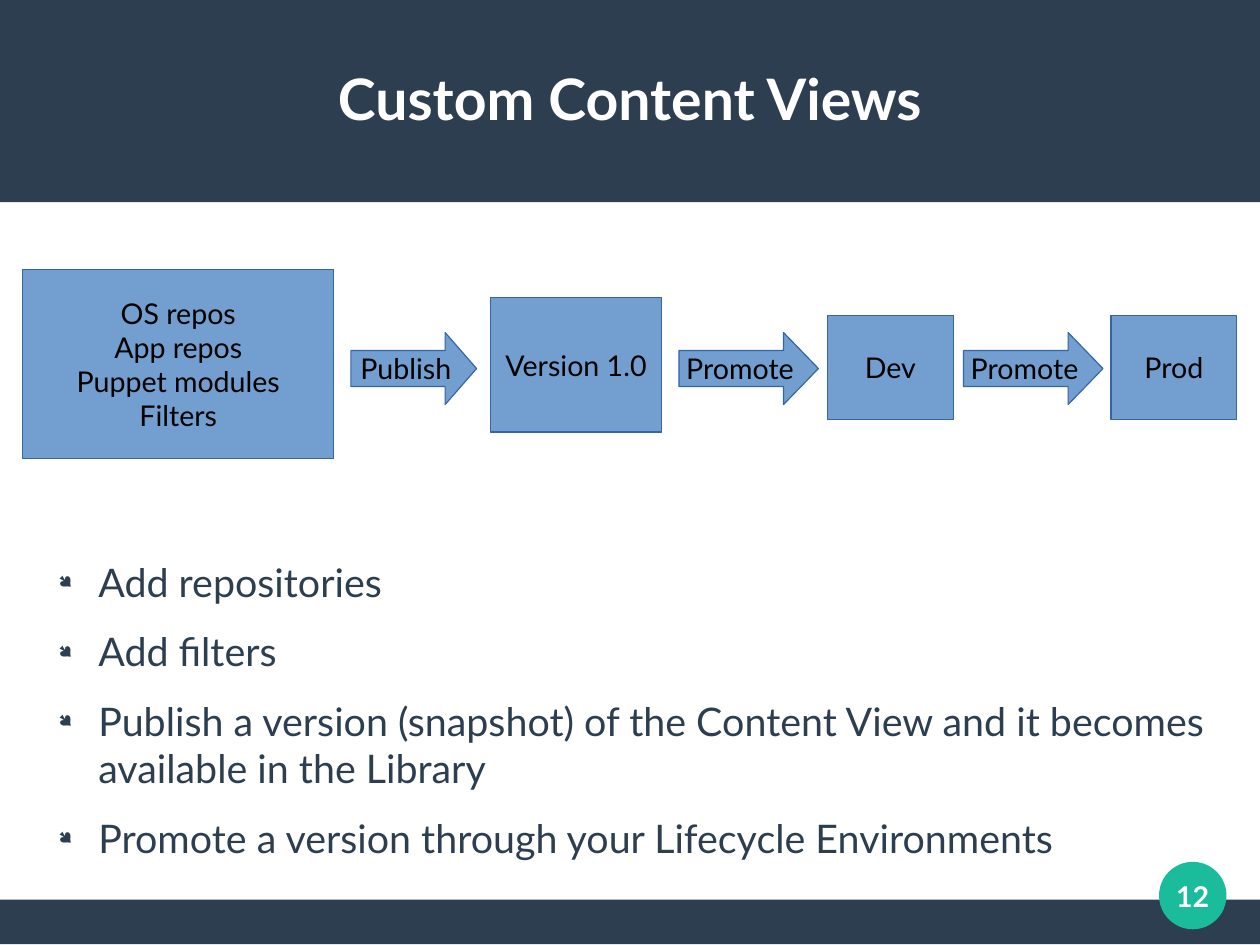
from lxml import etree
from pptx import Presentation
from pptx.dml.color import RGBColor
from pptx.enum import shapes, text
from pptx.oxml.ns import qn
from pptx.util import Cm, Inches, Pt

FONT = "Lato"
COLORS = {"navy": "2C3E50", "teal": "1ABC9C", "box": "729FCF",
          "edge": "3465A4", "black": "000000", "white": "FFFFFF"}
RECT = shapes.MSO_SHAPE.RECTANGLE
ARROW = shapes.MSO_SHAPE.RIGHT_ARROW
OVAL = shapes.MSO_SHAPE.OVAL

TITLE = "Custom Content Views"
PAGE = "12"
BULLETS = [
    "Add repositories",
    "Add filters",
    "Publish a version (snapshot) of the Content View and it becomes available in the Library",
    "Promote a version through your Lifecycle Environments",
]
# kind, lines, left, top, width, height
FLOW = [
    (RECT, ["OS repos", "App repos", "Puppet modules", "Filters"], 0.2, 2.36, 2.72, 1.65),
    (ARROW, ["Publish"], 3.07, 2.91, 1.1, 0.63),
    (RECT, ["Version 1.0"], 4.29, 2.6, 1.5, 1.18),
    (ARROW, ["Promote"], 5.94, 2.91, 1.22, 0.63),
    (RECT, ["Dev"], 7.24, 2.76, 1.1, 0.91),
    (ARROW, ["Promote"], 8.43, 2.91, 1.22, 0.63),
    (RECT, ["Prod"], 9.72, 2.76, 1.1, 0.91),
]


def rgb(name):
    return RGBColor.from_string(COLORS[name])


def add_bullet(p):
    pPr = p._p.get_or_add_pPr()
    pPr.set("marL", str(Inches(0.47)))
    pPr.set("indent", str(Inches(-0.35)))
    color = etree.SubElement(pPr, qn("a:buClr"))
    etree.SubElement(color, qn("a:srgbClr"), val=COLORS["navy"])
    etree.SubElement(pPr, qn("a:buSzPct"), val="45000")
    etree.SubElement(pPr, qn("a:buFont"), typeface="Wingdings", charset="2")
    etree.SubElement(pPr, qn("a:buChar"), char="●")


def write(sp, lines, size=18, color="black", bold=False, align=text.PP_ALIGN.CENTER,
          anchor=text.MSO_ANCHOR.MIDDLE, margins=(0, 0), wrap=True, after=0, bullets=False):
    tf = sp.text_frame
    tf.auto_size = text.MSO_AUTO_SIZE.NONE
    tf.word_wrap = wrap
    tf.vertical_anchor = anchor
    tf.margin_left = tf.margin_right = Inches(margins[0])
    tf.margin_top = tf.margin_bottom = Inches(margins[1])
    for i, line in enumerate(lines):
        p = tf.add_paragraph() if i else tf.paragraphs[0]
        p.alignment = align
        p.space_after = Pt(after)
        if bullets:
            add_bullet(p)
        r = p.add_run()
        r.text = line
        r.font.name = FONT
        r.font.size = Pt(size)
        r.font.bold = bold
        r.font.color.rgb = rgb(color)


def add_block(slide, kind, box, fill, edge=None):
    sp = slide.shapes.add_shape(kind, *map(Inches, box))
    sp.shadow.inherit = False
    sp.fill.solid()
    sp.fill.fore_color.rgb = rgb(fill)
    if edge:
        sp.line.color.rgb = rgb(edge)
        sp.line.width = Pt(0)
    else:
        sp.line.fill.background()
    return sp


def main():
    prs = Presentation()
    prs.slide_width, prs.slide_height = Cm(28), Cm(21)
    slide = prs.slides.add_slide(prs.slide_layouts[5])

    for top, height in ((7.87, 0.39), (0, 1.77)):
        add_block(slide, RECT, (0, top, prs.slide_width.inches, height), "navy")
    add_block(slide, OVAL, (10.14, 7.54, 0.59, 0.59), "teal")

    title = slide.shapes.title
    title.left, title.top, title.width, title.height = map(Inches, (0.39, 0.33, 10.24, 1.05))
    write(title, [TITLE], size=36, color="white", bold=True)
    title.element.getparent().append(title.element)  # in front of the header band

    body = slide.shapes.add_textbox(*map(Inches, (0.39, 4.88, 10.24, 2.72)))
    write(body, BULLETS, size=24.8, color="navy", align=text.PP_ALIGN.LEFT,
          anchor=text.MSO_ANCHOR.TOP, after=14.1, bullets=True)

    for kind, lines, *box in FLOW:
        sp = add_block(slide, kind, box, "box", "edge")
        if kind == ARROW:
            width, height = box[2:]
            sp.adjustments[1] = width / 4 / height  # head takes a quarter of the length
        write(sp, lines, margins=(0.1, 0.05), wrap=False)

    page = slide.shapes.add_textbox(*map(Inches, (10.04, 7.44, 0.79, 0.79)))
    write(page, [PAGE], color="white", bold=True)

    prs.save("out.pptx")


if __name__ == "__main__":
    main()
